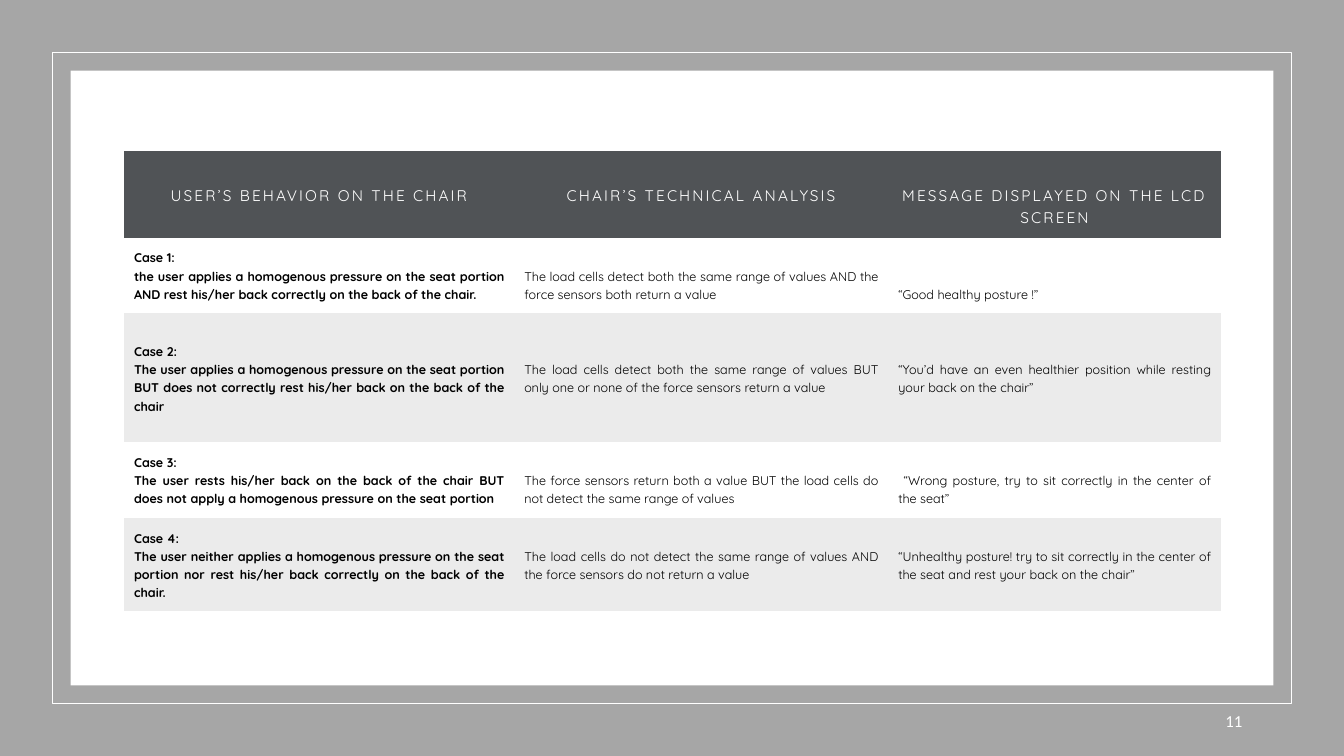
from pptx import Presentation
from pptx.dml.color import RGBColor
from pptx.enum.shapes import MSO_SHAPE
from pptx.enum.text import MSO_ANCHOR, PP_ALIGN
from pptx.oxml.ns import qn
from pptx.util import Inches, Pt

RECTANGLE = MSO_SHAPE.RECTANGLE
MIDDLE = MSO_ANCHOR.MIDDLE
CENTER, RIGHT, JUSTIFY = PP_ALIGN.CENTER, PP_ALIGN.RIGHT, PP_ALIGN.JUSTIFY

PLAIN_TABLE_STYLE = "{2D5ABB26-0587-4C30-8999-92F81FD0307C}"
WHITE, BLACK, GRAY = "FFFFFF", "000000", "A6A6A6"
HEADER_FILL, BAND_FILL = "505356", "EBEBEB"
PADDING = 0.1
HEADER_LINE, BODY_LINE = 0.22, 0.18

HEADINGS = [
    "USER’S BEHAVIOR ON THE CHAIR",
    "CHAIR’S TECHNICAL ANALYSIS",
    "MESSAGE DISPLAYED ON THE LCD SCREEN",
]
# Each cell: lines of space above the text, then its paragraphs
CASES = [
    [(0, ["Case 1:",
          "the user applies a homogenous pressure on the seat portion AND rest "
          "his/her back correctly on the back of the chair."]),
     (1, ["The load cells detect both the same range of values AND the force "
          "sensors both return a value"]),
     (2, ["“Good healthy posture !”"])],
    [(1, ["Case 2:",
          "The user applies a homogenous pressure on the seat portion BUT does "
          "not correctly rest his/her back on the back of the chair"]),
     (2, ["The load cells detect both the same range of values BUT only one or "
          "none of the force sensors return a value"]),
     (2, ["“You’d have an even healthier position while resting your back on "
          "the chair”"])],
    [(0, ["Case 3:",
          "The user rests his/her back on the back of the chair BUT does not "
          "apply a homogenous pressure on the seat portion"]),
     (1, ["The force sensors return both a value BUT the load cells do not "
          "detect the same range of values"]),
     (1, [" “Wrong posture, try to sit correctly in the center of the seat”"])],
    [(0, ["Case 4:",
          "The user neither applies a homogenous pressure on the seat portion "
          "nor rest his/her back correctly on the back of the chair."]),
     (1, ["The load cells do not detect the same range of values AND the force "
          "sensors do not return a value"]),
     (1, ["“Unhealthy posture! try to sit correctly in the center of the seat "
          "and rest your back on the chair”"])],
]
COLUMN_WIDTHS = [3.87, 3.71, 3.3]
ROW_HEIGHTS = [0.86, 0.75, 1.28, 0.75, 0.92]


def color(hex_value):
    return RGBColor.from_string(hex_value)


def add_panel(slide, box, fill=None, line=None):
    panel = slide.shapes.add_shape(RECTANGLE, *map(Inches, box))
    panel.shadow.inherit = False
    if fill:
        panel.fill.solid()
        panel.fill.fore_color.rgb = color(fill)
    else:
        panel.fill.background()
    if line:
        panel.line.color.rgb = color(line)
        panel.line.width = Pt(1)
    else:
        panel.line.fill.background()


def add_frame(slide, box):
    """Gray backdrop, thin white outline and white panel, nested in the box."""
    left, top, width, height = box
    add_panel(slide, box, fill=GRAY)
    for inset, style in ((0.52, {"line": WHITE}), (0.7, {"fill": WHITE})):
        add_panel(slide, (left + inset, top + inset,
                          width - 2 * inset, height - 2 * inset), **style)


def style_paragraph(paragraph, font_name, size, hex_value, align, bold=False):
    paragraph.alignment = align
    font = paragraph.font
    font.name, font.size, font.bold = font_name, Pt(size), bold
    font.color.rgb = color(hex_value)


def add_page_number(slide, box, number):
    frame = slide.shapes.add_textbox(*map(Inches, box)).text_frame
    frame.word_wrap = True
    frame.vertical_anchor = MIDDLE
    frame.text = number
    style_paragraph(frame.paragraphs[0], "Calibri", 12, WHITE, RIGHT)
    frame.paragraphs[0].space_after = Pt(6)


def fill_cell(cell, texts, space_above, fill, size, hex_value, align,
              bold=False, tracking=0):
    cell.margin_left = cell.margin_right = cell.margin_bottom = Inches(PADDING)
    cell.margin_top = Inches(PADDING + space_above)
    if fill:
        cell.fill.solid()
        cell.fill.fore_color.rgb = color(fill)
    else:
        cell.fill.background()
    cell.text = "\n".join(texts)
    for paragraph in cell.text_frame.paragraphs:
        style_paragraph(paragraph, "Quicksand", size, hex_value, align, bold)
        paragraph.line_spacing = 1.15
        if tracking:
            for run in paragraph.runs:
                run._r.get_or_add_rPr().set("spc", str(tracking))


def add_case_table(slide, left, top):
    graphic = slide.shapes.add_table(
        len(ROW_HEIGHTS), len(COLUMN_WIDTHS), Inches(left), Inches(top),
        Inches(sum(COLUMN_WIDTHS)), Inches(sum(ROW_HEIGHTS)))
    table = graphic.table
    table.first_row = table.horz_banding = False
    table._tbl.tblPr.find(qn("a:tableStyleId")).text = PLAIN_TABLE_STYLE
    for column, width in zip(table.columns, COLUMN_WIDTHS):
        column.width = Inches(width)
    for row, height in zip(table.rows, ROW_HEIGHTS):
        row.height = Inches(height)

    for col, heading in enumerate(HEADINGS):
        fill_cell(table.cell(0, col), [heading], HEADER_LINE, HEADER_FILL,
                  11, WHITE, CENTER, tracking=150)
    for row, case in enumerate(CASES, start=1):
        band = BAND_FILL if row % 2 == 0 else None
        for col, (lines_above, texts) in enumerate(case):
            fill_cell(table.cell(row, col), texts, lines_above * BODY_LINE,
                      band, 9, BLACK, JUSTIFY, bold=col == 0)


def main():
    presentation = Presentation()
    presentation.slide_width = Inches(13.33)
    presentation.slide_height = Inches(7.5)
    slide = presentation.slides.add_slide(presentation.slide_layouts[6])
    add_frame(slide, (0, 0, 13.33, 7.5))
    add_page_number(slide, (9.42, 6.95, 3, 0.4), "11")
    add_case_table(slide, 1.23, 1.5)
    presentation.save("out.pptx")


if __name__ == "__main__":
    main()
